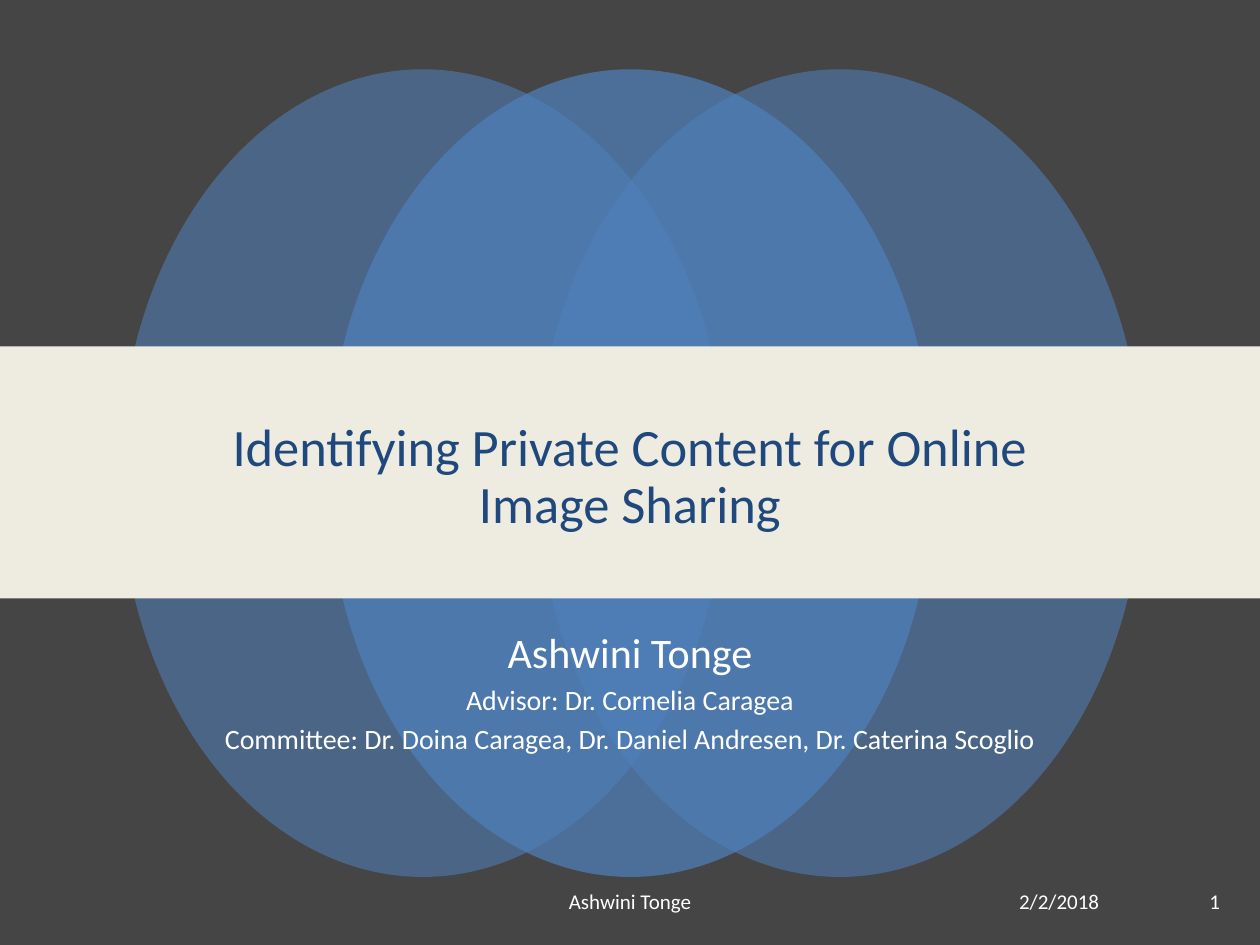
"""Build a title slide with three overlapping ellipses behind a title band."""
from dataclasses import dataclass

from lxml.etree import SubElement
from pptx import Presentation
from pptx.dml.color import RGBColor
from pptx.enum.shapes import MSO_SHAPE as Shape
from pptx.enum.text import MSO_ANCHOR as Anchor, MSO_AUTO_SIZE as AutoSize, PP_ALIGN as Align
from pptx.oxml.ns import qn
from pptx.util import Inches, Pt

FONT = "Calibri"
WHITE, BLUE, NAVY, CREAM, DARK = "FFFFFF", "4F81BD", "1F497D", "EEECE1", "454545"


@dataclass
class Ellipse:
    left: float
    opacity: int


@dataclass
class FooterItem:
    text: str
    left: float
    width: float
    align: Align


ELLIPSES = [Ellipse(0.95, 55), Ellipse(4.26, 55), Ellipse(2.6, 70)]
FOOTER = [
    FooterItem("Ashwini Tonge", 3.69, 2.62, Align.CENTER),
    FooterItem("1", 9.1, 0.68, Align.RIGHT),
    FooterItem("2/2/2018", 7.99, 2.33, Align.LEFT),
]
PEOPLE = [
    ("Ashwini Tonge", 24),
    ("Advisor: Dr. Cornelia Caragea", 16),
    ("Committee: Dr. Doina Caragea, Dr. Daniel Andresen, Dr. Caterina Scoglio", 16),
]


def set_color(target, color: str) -> None:
    target.rgb = RGBColor.from_string(color)


def add_filled(shapes, kind: Shape, box: tuple, color: str, opacity: int = 100) -> None:
    sp = shapes.add_shape(kind, *map(Inches, box))
    sp.shadow.inherit = False
    sp.line.fill.background()
    sp.fill.solid()
    set_color(sp.fill.fore_color, color)
    if opacity < 100:
        rgb = sp.element.spPr.find(".//" + qn("a:srgbClr"))
        SubElement(rgb, qn("a:alpha"), val=str(opacity * 1000))


def format_paragraph(p, size: int, color: str, align: Align) -> None:
    p.alignment = align
    for r in p.runs:
        r.font.name = FONT
        r.font.size = Pt(size)
        set_color(r.font.color, color)


def place_in_front(sp, box: tuple) -> None:
    sp.left, sp.top, sp.width, sp.height = map(Inches, box)
    sp.element.getparent().append(sp.element)


def add_title(s) -> None:
    sp = s.shapes.title
    place_in_front(sp, (1.25, 3.04, 7.5, 1.51))
    tf = sp.text_frame
    tf.text = "Identifying Private Content for Online Image Sharing"
    tf.vertical_anchor = Anchor.MIDDLE
    tf.auto_size = AutoSize.NONE
    p = tf.paragraphs[0]
    p.line_spacing = 0.9
    format_paragraph(p, 30, NAVY, Align.CENTER)


def add_people(s) -> None:
    sp = s.placeholders[1]
    place_in_front(sp, (1.25, 4.92, 7.5, 1.17))
    tf = sp.text_frame
    tf.text = "\n".join(text for text, _ in PEOPLE)
    tf.auto_size = AutoSize.NONE
    for p, (_, size) in zip(tf.paragraphs, PEOPLE):
        format_paragraph(p, size, WHITE, Align.CENTER)


def add_footer_item(s, item: FooterItem) -> None:
    sp = s.shapes.add_textbox(*map(Inches, (item.left, 6.95, item.width, 0.4)))
    tf = sp.text_frame
    tf.word_wrap = True
    tf.vertical_anchor = Anchor.MIDDLE
    tf.text = item.text
    format_paragraph(tf.paragraphs[0], 12, WHITE, item.align)


def main() -> None:
    prs = Presentation()
    prs.slide_width, prs.slide_height = Inches(10), Inches(7.5)
    s = prs.slides.add_slide(prs.slide_layouts[0])
    s.background.fill.solid()
    set_color(s.background.fill.fore_color, DARK)
    group = s.shapes.add_group_shape()
    for e in ELLIPSES:
        add_filled(group.shapes, Shape.OVAL, (e.left, 0.55, 4.81, 6.41), BLUE, e.opacity)
    add_filled(s.shapes, Shape.RECTANGLE, (0, 2.75, 10, 2), CREAM)
    add_title(s)
    add_people(s)
    for item in FOOTER:
        add_footer_item(s, item)
    prs.save("out.pptx")


if __name__ == "__main__":
    main()
